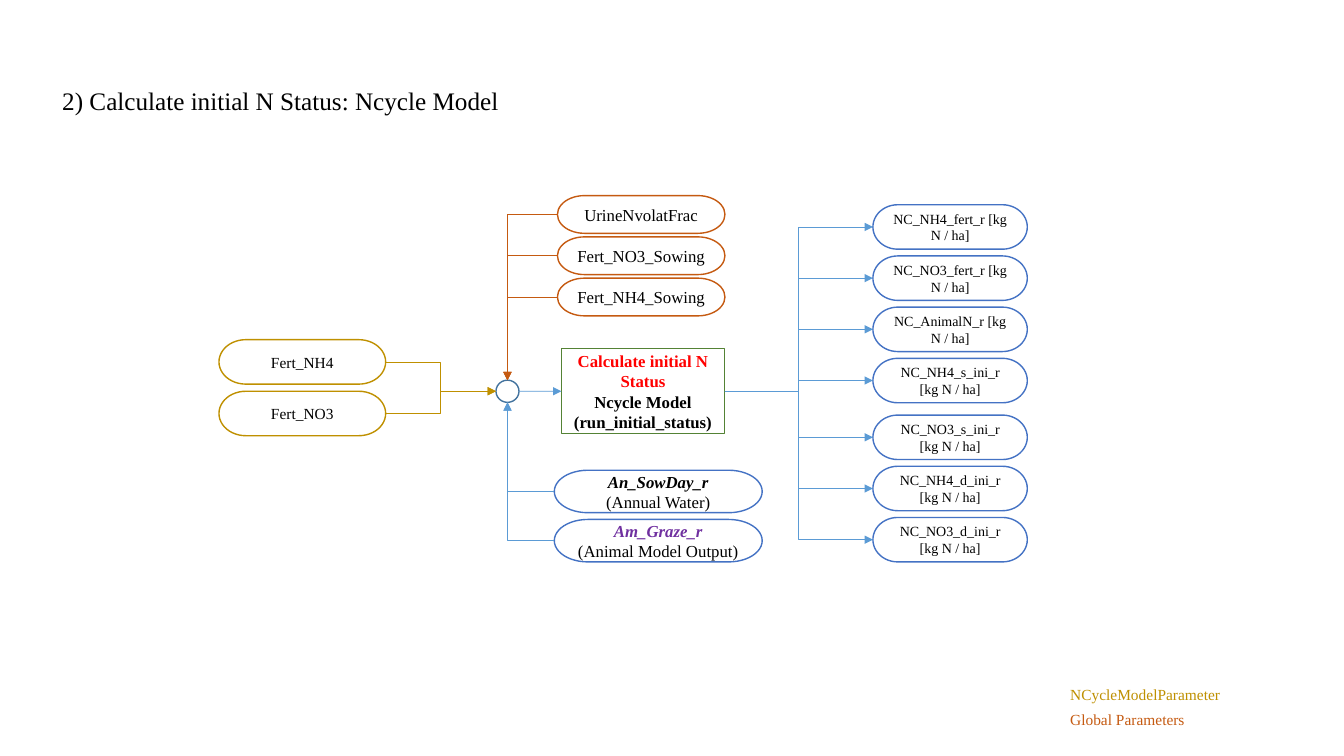
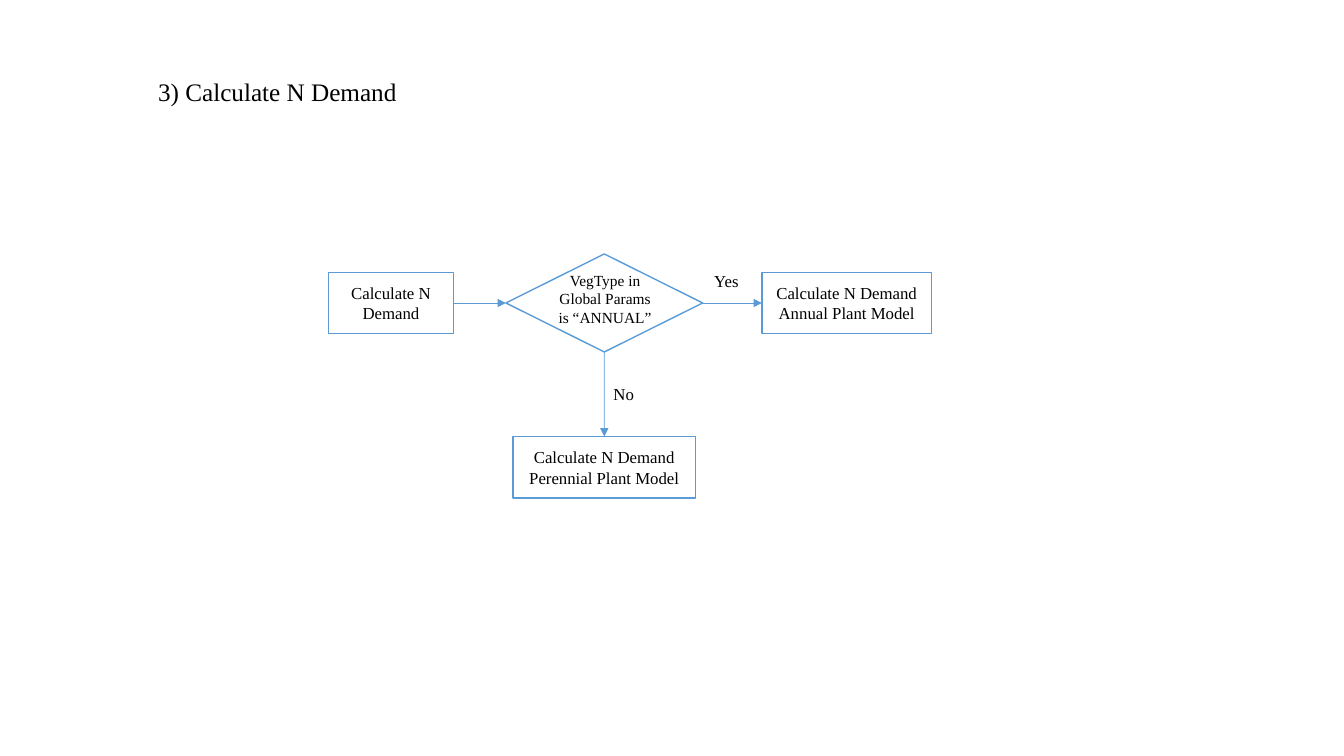
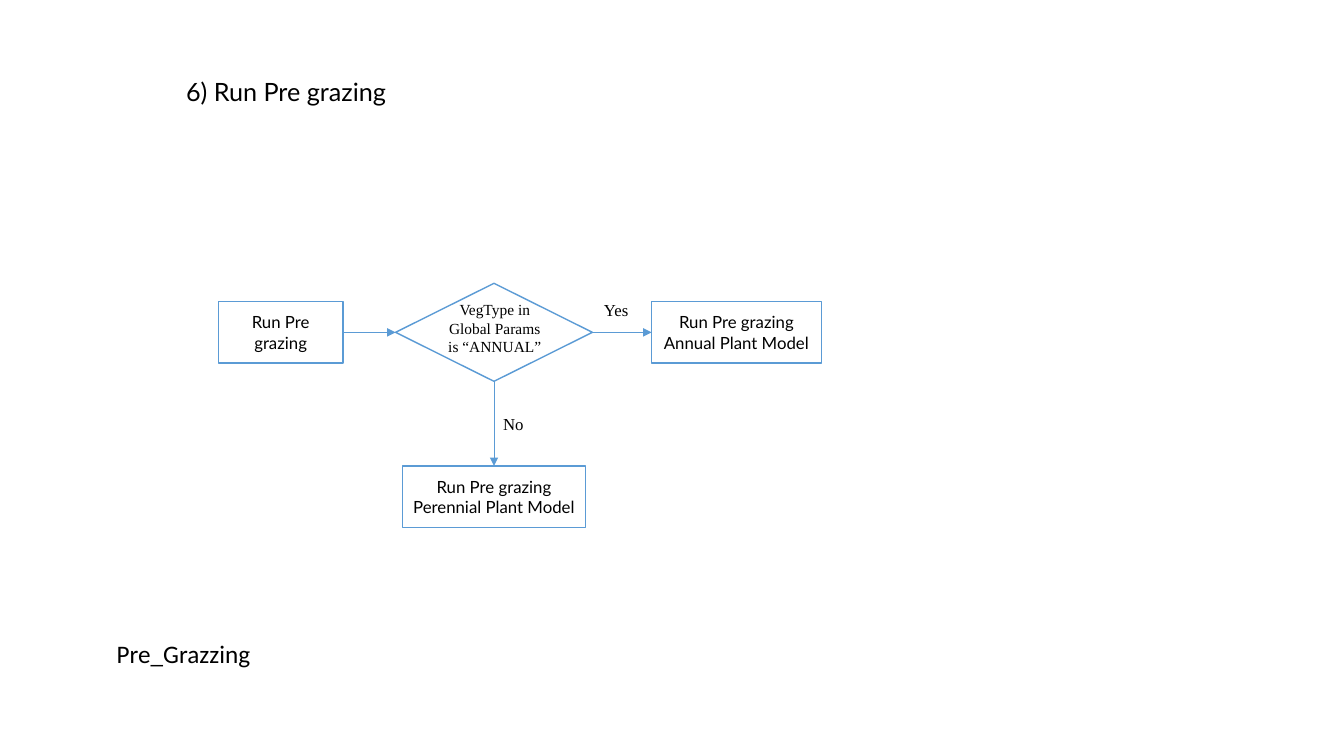
from lxml.etree import SubElement
from pptx import Presentation
from pptx.dml.color import RGBColor
from pptx.enum.shapes import MSO_CONNECTOR, MSO_SHAPE
from pptx.enum.text import MSO_ANCHOR, MSO_AUTO_SIZE, PP_ALIGN
from pptx.oxml.ns import qn
from pptx.util import Cm, Pt

SERIF, SANS, PLAIN = "Times New Roman", "Lato", "Calibri"
BLACK, WHITE, RED, PURPLE = "000000", "FFFFFF", "FF0000", "7030A0"
GOLD, ORANGE, GREEN = "BF9000", "C55A11", "548235"
BLUE, SKY, STEEL = "4472C4", "5B9BD5", "43739E"
SITES = {"top": 0, "left": 1, "bottom": 2, "right": 3}


def rgb(color):
    return RGBColor.from_string(color)


def write(shape, lines, size, font=SERIF, align=PP_ALIGN.CENTER):
    """Fill a shape with lines, each a string or (text, color, bold, italic)."""
    tf = shape.text_frame
    for i, line in enumerate(lines):
        text, color, bold, italic = (line, BLACK, False, False) if isinstance(line, str) else line
        p = tf.add_paragraph() if i else tf.paragraphs[0]
        p.text = text
        p.alignment = align
        for r in p.runs:
            r.font.name, r.font.size = font, Pt(size)
            r.font.bold, r.font.italic = bold, italic
            r.font.color.rgb = rgb(color)


def add_slide(prs, title, at, font=SERIF, align=PP_ALIGN.LEFT):
    s = prs.slides.add_slide(prs.slide_layouts[5])
    sp = s.shapes.title
    sp.left, sp.top, sp.width, sp.height = map(Cm, at)
    tf = sp.text_frame
    tf.word_wrap = False
    tf.auto_size = MSO_AUTO_SIZE.NONE
    tf.vertical_anchor = MSO_ANCHOR.TOP
    write(sp, [title], 18, font, align)
    return s


def add_text(s, at, lines, size, font=SERIF, align=PP_ALIGN.LEFT, wrap=False):
    sp = s.shapes.add_textbox(*map(Cm, at))
    sp.text_frame.word_wrap = wrap
    write(sp, lines, size, font, align)


def add_node(s, kind, at, color, lines=(), size=12, font=SERIF, fill=WHITE):
    sp = s.shapes.add_shape(kind, *map(Cm, at))
    sp.shadow.inherit = False
    if fill:
        sp.fill.solid()
        sp.fill.fore_color.rgb = rgb(fill)
    else:
        sp.fill.background()
    sp.line.color.rgb = rgb(color)
    sp.line.width = Pt(1)
    write(sp, lines, size, font)
    return sp


def add_pills(s, at, step, color, texts, size):
    """Stack terminators downwards from the first one's place."""
    left, top, width, height = at
    return [add_node(s, MSO_SHAPE.FLOWCHART_TERMINATOR,
                     (left, top + i * step, width, height), color, lines, size)
            for i, lines in enumerate(texts)]


def edge(sp, side):
    """Return the middle of one side of a shape."""
    x, y = sp.left + sp.width // 2, sp.top + sp.height // 2
    return {"top": (x, sp.top), "bottom": (x, sp.top + sp.height),
            "left": (sp.left, y), "right": (sp.left + sp.width, y)}[side]


def add_arrow(s, start, start_side, end, end_side, color=SKY, bends=0, glue=True):
    kind = MSO_CONNECTOR.ELBOW if bends else MSO_CONNECTOR.STRAIGHT
    c = s.shapes.add_connector(kind, *edge(start, start_side), *edge(end, end_side))
    if glue:
        c.begin_connect(start, SITES[start_side])
        c.end_connect(end, SITES[end_side])
    c.line.color.rgb = rgb(color)
    c.line.width = Pt(0.5)
    spPr = c.element.spPr
    if bends == 1:
        spPr.find(qn("a:prstGeom")).set("prst", "bentConnector2")
    SubElement(spPr.find(qn("a:ln")), qn("a:tailEnd"), type="triangle")
    SubElement(spPr, qn("a:effectLst"))


def add_initial_status(prs):
    s = add_slide(prs, "2) Calculate initial N Status: Ncycle Model",
                  (1.24, 2.01, 11.66, 1.02), align=PP_ALIGN.CENTER)
    model = add_node(s, MSO_SHAPE.RECTANGLE, (14.15, 8.79, 4.11, 2.14), GREEN, [
        ("Calculate initial N Status", RED, True, False),
        ("Ncycle Model", BLACK, True, False),
        ("(run_initial_status)", BLACK, True, False)])
    junction = add_node(s, MSO_SHAPE.OVAL, (12.5, 9.58, 0.58, 0.56), STEEL, fill=None)
    add_arrow(s, junction, "right", model, "left", glue=False)

    sowing = add_pills(s, (14.05, 4.93, 4.22, 0.95), 1.04, ORANGE,
                       [["UrineNvolatFrac"], ["Fert_NO3_Sowing"], ["Fert_NH4_Sowing"]], 12)
    model_inputs = add_pills(s, (13.97, 11.85, 5.24, 1.07), 1.24, BLUE, [
        [("An_SowDay_r", BLACK, True, True), "(Annual Water)"],
        [("Am_Graze_r", PURPLE, True, True), "(Animal Model Output)"]], 12)
    fertilizer = add_pills(s, (5.52, 8.56, 4.2, 1.12), 1.3, GOLD,
                           [["Fert_NH4"], ["Fert_NO3"]], 11)
    for pills, side, entry, color, bends in (
            (sowing, "left", "top", ORANGE, 1),
            (model_inputs, "left", "bottom", SKY, 1),
            (fertilizer, "right", "left", GOLD, 2)):
        for sp in pills:
            add_arrow(s, sp, side, junction, entry, color, bends, glue=False)

    for top, names in (
            (5.16, ("NH4_fert", "NO3_fert", "AnimalN", "NH4_s_ini")),
            (10.46, ("NO3_s_ini", "NH4_d_ini", "NO3_d_ini"))):
        texts = [[f"NC_{name}_r [kg N / ha]"] for name in names]
        for sp in add_pills(s, (22, top, 3.89, 1.12), 1.29, BLUE, texts, 10):
            add_arrow(s, model, "right", sp, "left", bends=2)

    for top, text, color in ((17.13, "NCycleModelParameter", GOLD),
                             (17.76, "Global Parameters", ORANGE)):
        add_text(s, (26.72, top, 5.16, 0.74), [(text, color, False, False)], 11, wrap=True)


def add_decision_flow(s, x, y, start_lines, task, font):
    """Draw the plant type decision with its top left corner at x, y."""
    def box(left, top, width, lines):
        return add_node(s, MSO_SHAPE.RECTANGLE, (x + left, y + top, width, 1.55),
                        SKY, lines, 12, font)

    start = box(0, 0.46, 3.15, start_lines)
    decision = add_node(s, MSO_SHAPE.FLOWCHART_DECISION, (x + 4.47, y, 4.96, 2.47), SKY)
    annual = box(10.92, 0.46, 4.28, [task, "Annual Plant Model"])
    perennial = box(4.65, 4.6, 4.6, [task, "Perennial Plant Model"])
    add_text(s, (x + 5.51, y + 0.3, 2.92, 2.13),
             ["VegType in", "Global Params", "is “ANNUAL”"], 11, align=PP_ALIGN.CENTER)
    add_arrow(s, start, "right", decision, "left")
    add_arrow(s, decision, "right", annual, "left")
    add_arrow(s, decision, "bottom", perennial, "top")
    add_text(s, (x + 9.47, y + 0.3, 1.14, 0.76), ["Yes"], 12)
    add_text(s, (x + 6.93, y + 3.15, 1.04, 0.76), ["No"], 12)


def main():
    prs = Presentation()
    prs.slide_width, prs.slide_height = Cm(33.87), Cm(19.05)

    add_initial_status(prs)

    s = add_slide(prs, "3) Calculate N Demand", (3.73, 1.8, 6.63, 1.02))
    add_decision_flow(s, 8.28, 6.4, ["Calculate N", "Demand"], "Calculate N Demand", SERIF)

    s = add_slide(prs, "6) Run Pre grazing", (4.34, 1.8, 5.74, 1.02), SANS, PP_ALIGN.CENTER)
    add_decision_flow(s, 5.5, 7.14, ["Run Pre grazing"], "Run Pre grazing", SANS)
    add_text(s, (2.69, 15.95, 3.91, 1.02), ["Pre_Grazzing"], 18, PLAIN)

    prs.save("out.pptx")


if __name__ == "__main__":
    main()
